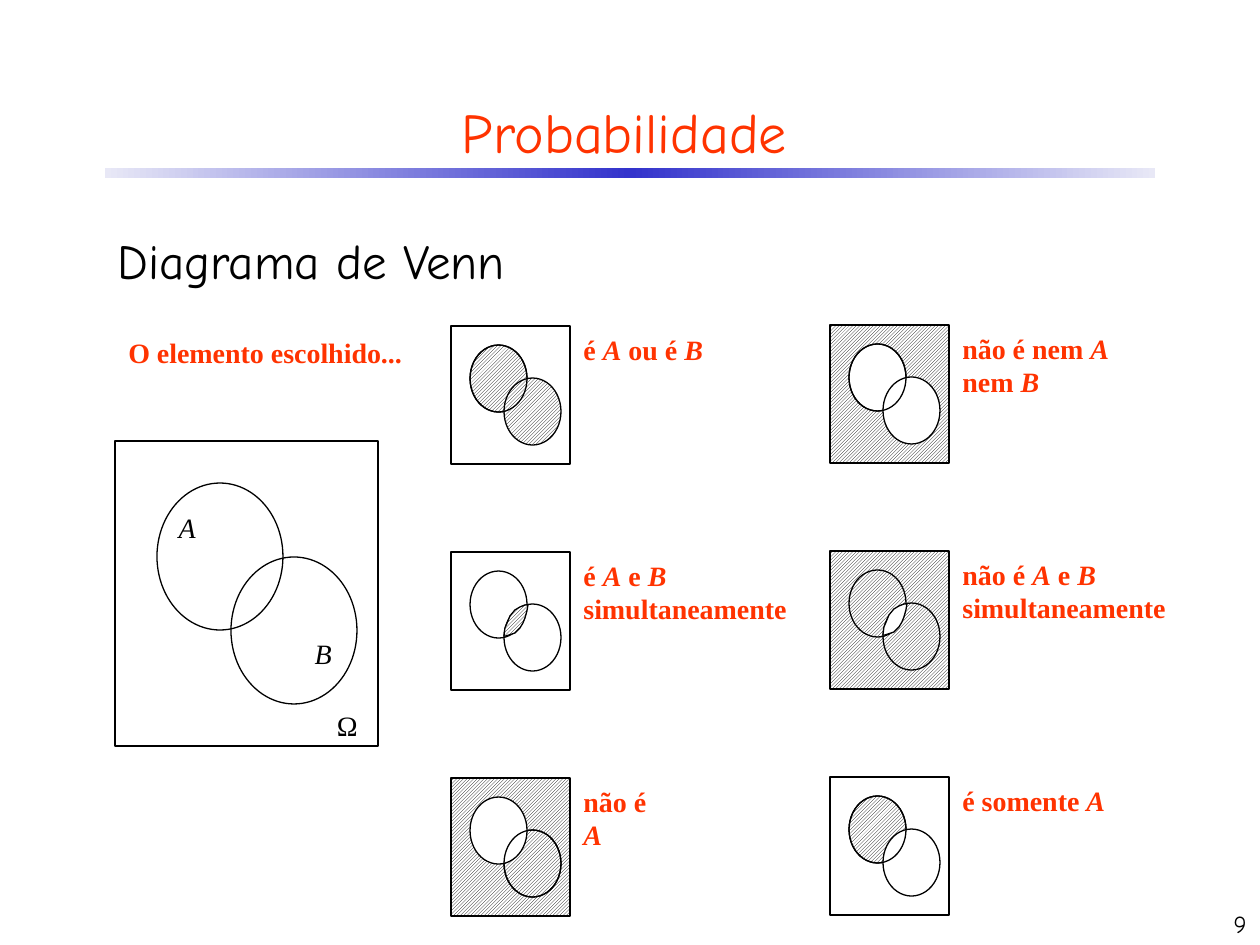
import copy
import pptx
import pptx.util
import pptx.dml.color
import pptx.enum.dml
import pptx.enum.shapes
import pptx.enum.text

PX = 914400 / 126
ALIGN = pptx.enum.text.PP_ALIGN
ANCHOR = pptx.enum.text.MSO_ANCHOR
FIT = pptx.enum.text.MSO_AUTO_SIZE.SHAPE_TO_FIT_TEXT
KINDS = {
    "box": pptx.enum.shapes.MSO_SHAPE.RECTANGLE,
    "A": pptx.enum.shapes.MSO_SHAPE.OVAL,
    "B": pptx.enum.shapes.MSO_SHAPE.OVAL,
}
THEME = {
    "ink": "000000", "paper": "FFFFFF", "accent": "FF3300",
    "bar": "3333CC", "bar_end": "E8E8F6",
    "display": "Comic Neue", "serif": "Times New Roman",
    "title": 32, "heading": 28, "label": 16, "number": 14, "line": 0.75,
}

TITLE = ("Probabilidade", (42, 84, 1165, 95))
HEADING = ("Diagrama de Venn", (105, 224, 1050, 84))
LEAD = ("O elemento escolhido...", (116, 329, 304, 47))
NUMBER = ("9", (997, 882, 262, 63))
BAR = (105, 168, 1050, 10)

SAMPLE_SPACE = {
    "box": (115, 441, 263, 305),
    "A": (157, 483, 126, 147),
    "B": (231, 557, 126, 147),
}
SET_NAMES = [
    ("Ω", (323, 702, 47, 47)),
    ("*B*", (301, 630, 43, 47)),
    ("*A*", (165, 504, 43, 47)),
]

PANEL_PARTS = {"box": (0, 0, 119, 138), "A": (19, 19, 57, 67), "B": (53, 52, 57, 67)}
LENS = [(53, 84), (54, 76), (57, 69), (59, 64), (64, 58), (69, 55), (74, 53), (77, 53),
        (76, 59), (74, 66), (72, 71), (69, 76), (64, 81), (58, 83), (55, 84)]
COLUMNS = [
    (451, 326, [
        (["é *A* ou é *B*"], 145,
         [("box", "paper"), ("A", "hatch"), ("B", "hatch"), ("A", None)]),
        (["é *A* e *B*", "simultaneamente"], 232,
         [("box", "paper"), ("A", None), ("B", None), ("lens", "hatch")]),
        (["não é *A*"], 113,
         [("box", "hatch"), ("B", "hatch"), ("A", "paper"), ("B", None)]),
    ]),
    (830, 325, [
        (["não é nem *A*", "nem *B*"], 174,
         [("box", "hatch"), ("A", "paper"), ("B", "paper"), ("A", None)]),
        (["não é *A* e *B*", "simultaneamente"], 232,
         [("box", "hatch"), ("B", None), ("A", None), ("lens", "paper")]),
        (["é somente *A*"], 170,
         [("box", "paper"), ("A", "hatch"), ("B", "paper"), ("A", None)]),
    ]),
]
ROW_STEP = 226
LABEL_GAP = 120


def emu(*lengths):
    return [round(length * PX) for length in lengths]


def rgb(name):
    return pptx.dml.color.RGBColor.from_string(THEME[name])


def paint(shape, fill):
    shape.shadow.inherit = False
    if fill is None:
        shape.fill.background()
    elif fill == "hatch":
        shape.fill.patterned()
        shape.fill.pattern = pptx.enum.dml.MSO_PATTERN.LIGHT_UPWARD_DIAGONAL
        shape.fill.fore_color.rgb = rgb("ink")
        shape.fill.back_color.rgb = rgb("paper")
    else:
        shape.fill.solid()
        shape.fill.fore_color.rgb = rgb(fill)
    shape.line.color.rgb = rgb("ink")
    shape.line.width = pptx.util.Pt(THEME["line"])


def write(shapes, lines, place, size, color, font="serif", bold=False,
          align=ALIGN.LEFT, **frame_format):
    frame = shapes.add_textbox(*emu(*place)).text_frame
    for attribute, value in {"word_wrap": True, **frame_format}.items():
        setattr(frame, attribute, value)
    for index, line in enumerate(lines):
        paragraph = frame.add_paragraph() if index else frame.paragraphs[0]
        paragraph.alignment = align
        for position, words in enumerate(line.split("*")):
            if not words:
                continue
            run = paragraph.add_run()
            run.text = words
            run.font.color.rgb = rgb(color)
            look = {"name": THEME[font], "size": pptx.util.Pt(THEME[size]),
                    "bold": bold, "italic": position % 2 == 1}
            for attribute, value in look.items():
                setattr(run.font, attribute, value)


def draw_diagram(shapes, parts, layers, left=0, top=0):
    group = shapes.add_group_shape().shapes
    for part, fill in layers:
        if part == "lens":
            outline = group.build_freeform(*LENS[0], scale=PX)
            outline.add_line_segments(LENS[1:], close=True)
            shape = outline.convert_to_shape(*emu(left, top))
        else:
            x, y, width, height = parts[part]
            shape = group.add_shape(KINDS[part], *emu(left + x, top + y, width, height))
        paint(shape, fill)
    return group


def draw_bar(shapes):
    bar = shapes.add_shape(KINDS["box"], *emu(*BAR))
    bar.shadow.inherit = False
    bar.line.fill.background()
    bar.fill.gradient()
    bar.fill.gradient_angle = 0
    first, last = bar.fill.gradient_stops
    first.color.rgb = rgb("bar")
    first.position = 0.5
    stops = bar._element.spPr.find(".//" + pptx.oxml.ns.qn("a:gsLst"))
    middle = copy.deepcopy(stops[0])
    first.position = 0
    last.position = 1
    for end in (first, last):
        end.color.rgb = rgb("bar_end")
    stops.insert(1, middle)


def main():
    deck = pptx.Presentation()
    deck.slide_width, deck.slide_height = emu(1260, 945)
    shapes = deck.slides.add_slide(deck.slide_layouts[6]).shapes
    hug = {"word_wrap": False, "auto_size": FIT}

    draw_bar(shapes)
    for left, top, panels in COLUMNS:
        for row, (label, width, layers) in enumerate(panels):
            y = top + row * ROW_STEP
            draw_diagram(shapes, PANEL_PARTS, layers, left, y)
            place = (left + LABEL_GAP, y, width, 47 + 34 * (len(label) - 1))
            write(shapes, label, place, "label", "accent", bold=True, **hug)

    title, place = TITLE
    write(shapes, [title], place, "title", "accent", "display",
          align=ALIGN.CENTER, vertical_anchor=ANCHOR.MIDDLE)
    heading, place = HEADING
    write(shapes, [heading], place, "heading", "ink", "display")

    space = draw_diagram(shapes, SAMPLE_SPACE, [(part, None) for part in SAMPLE_SPACE])
    for name, place in SET_NAMES:
        write(space, [name], place, "label", "ink", align=ALIGN.RIGHT, **hug)

    number, place = NUMBER
    write(shapes, [number], place, "number", "ink", "display",
          align=ALIGN.RIGHT, vertical_anchor=ANCHOR.BOTTOM)
    lead, place = LEAD
    write(shapes, [lead], place, "label", "accent", bold=True, **hug)

    deck.save("out.pptx")


if __name__ == "__main__":
    main()
